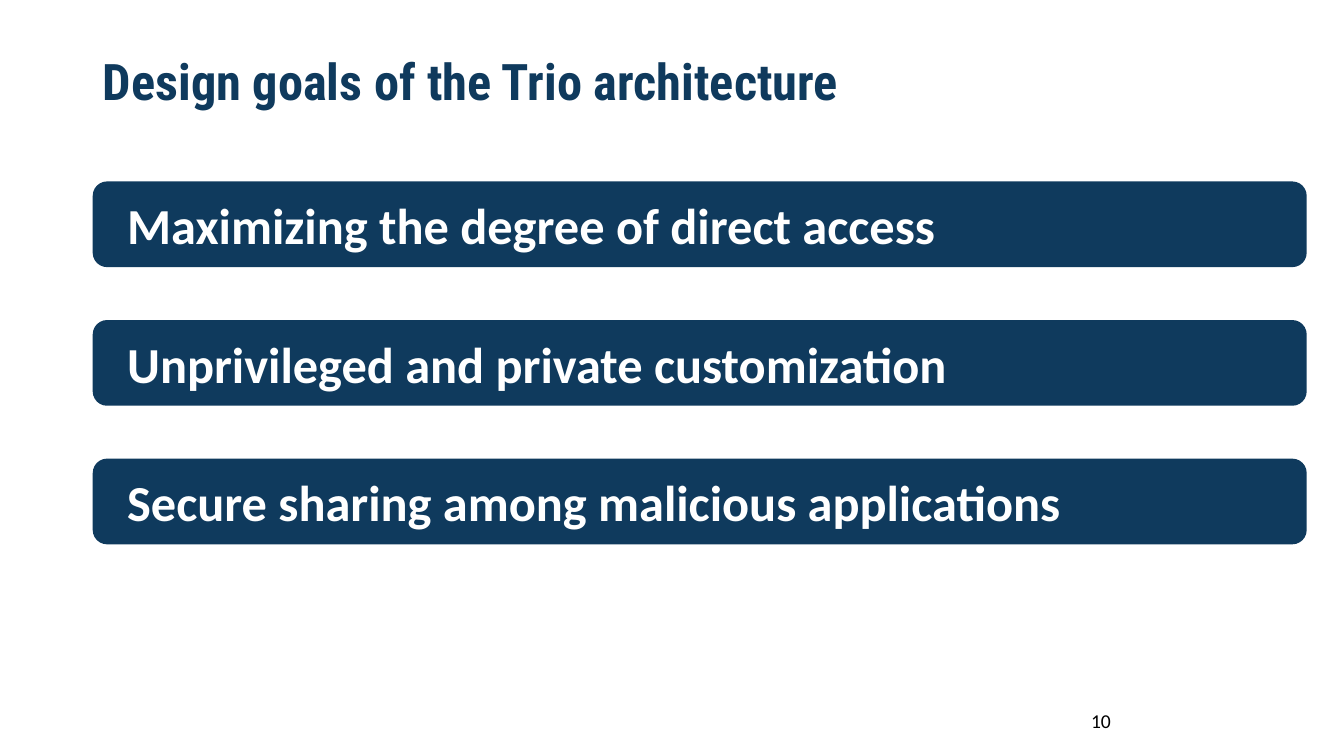
from pptx import Presentation
from pptx.dml.color import RGBColor
from pptx.enum.shapes import MSO_SHAPE
from pptx.enum.text import MSO_ANCHOR, MSO_AUTO_SIZE, PP_ALIGN
from pptx.util import Inches, Pt

ROUNDED = MSO_SHAPE.ROUNDED_RECTANGLE
MIDDLE = MSO_ANCHOR.MIDDLE
NO_AUTOFIT = MSO_AUTO_SIZE.NONE
LEFT, CENTER = PP_ALIGN.LEFT, PP_ALIGN.CENTER
TITLE_ONLY = 5

COLORS = {"navy": "0F3A5D", "white": "FFFFFF", "black": "000000"}
HEADING_FONT, BODY_FONT = "Roboto Condensed", "Calibri"

HEADING_BOX = (0.92, 0.4, 12.04, 0.87)
GOALS_BOX = (0.92, 1.8, 12.04, 3.6)
NUMBER_BOX = (9.42, 6.95, 3, 0.4)

HEADING = "Design goals of the Trio architecture"
GOALS = [
    "Maximizing the degree of direct access",
    "Unprivileged and private customization",
    "Secure sharing among malicious applications",
]
BAR_HEIGHT = 0.85


def write(frame, wording, font, size, color, bold=False, align=LEFT, indent=0.1):
    """Fill a text frame with one formatted run."""
    frame.word_wrap = True
    frame.auto_size = NO_AUTOFIT
    frame.vertical_anchor = MIDDLE
    frame.margin_left, frame.margin_right = Inches(indent), Inches(0.1)
    frame.margin_top = frame.margin_bottom = Inches(0.05)
    line = frame.paragraphs[0]
    line.alignment = align
    run = line.add_run()
    run.text = wording
    run.font.name, run.font.size, run.font.bold = font, Pt(size), bold
    run.font.color.rgb = RGBColor.from_string(COLORS[color])
    return line


def add_heading(slide, box):
    """Place the slide title in the box."""
    heading = slide.shapes.title
    heading.left, heading.top, heading.width, heading.height = map(Inches, box)
    line = write(heading.text_frame, HEADING, HEADING_FONT, 36, "navy", bold=True)
    line.line_spacing = 0.9


def add_goals(slide, box):
    """Spread one bar per goal evenly down the box."""
    left, top, width, height = box
    step = (height - BAR_HEIGHT) / (len(GOALS) - 1)
    for row, goal in enumerate(GOALS):
        place = map(Inches, (left, top + row * step, width, BAR_HEIGHT))
        bar = slide.shapes.add_shape(ROUNDED, *place)
        bar.adjustments[0] = 0.167
        bar.shadow.inherit = False
        bar.fill.solid()
        bar.fill.fore_color.rgb = RGBColor.from_string(COLORS["navy"])
        bar.line.fill.background()
        write(bar.text_frame, goal, BODY_FONT, 36, "white", bold=True, indent=0.3)


def add_page_number(slide, box):
    """Centre the page number in the box."""
    number = slide.shapes.add_textbox(*map(Inches, box))
    write(number.text_frame, "10", BODY_FONT, 14, "black", align=CENTER)


def main():
    """Build and save the slide."""
    deck = Presentation()
    deck.slide_width, deck.slide_height = Inches(13.33), Inches(7.5)
    slide = deck.slides.add_slide(deck.slide_layouts[TITLE_ONLY])
    add_heading(slide, HEADING_BOX)
    add_page_number(slide, NUMBER_BOX)
    add_goals(slide, GOALS_BOX)
    deck.save("out.pptx")


main()
